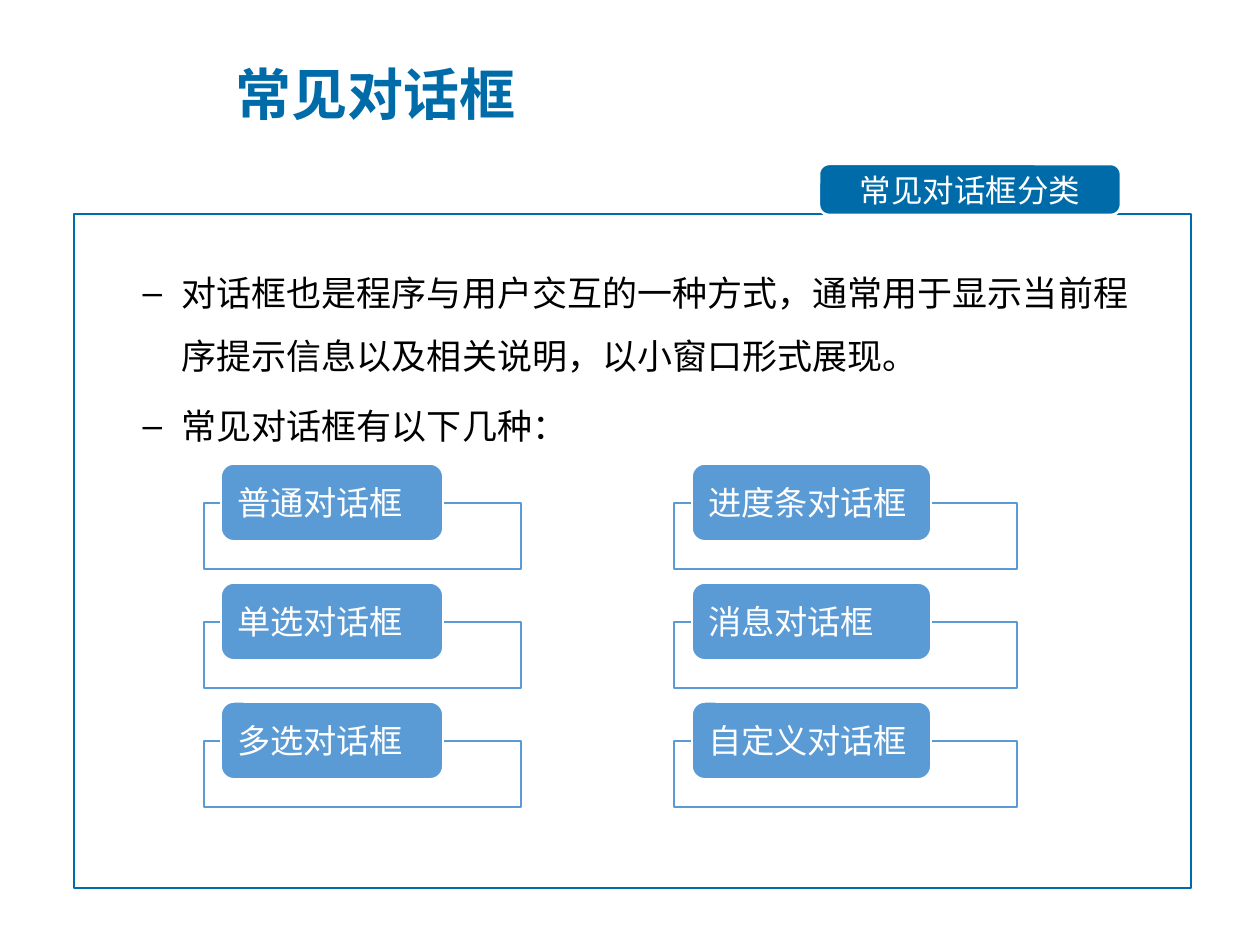
from lxml import etree
from pptx import Presentation
from pptx import util as u
from pptx.dml.color import RGBColor
from pptx.enum import shapes, text
from pptx.oxml.ns import qn

SCALE = 914400 / 126
BLUE, CARD, WHITE = "006BA9", "5B9BD5", "FFFFFF"
CJK = "Noto Sans CJK SC"


def px(n):
    return u.Emu(round(n * SCALE))


def paint(color_format, value):
    color_format.rgb = RGBColor.from_string(value)


prs = Presentation()
prs.slide_width, prs.slide_height = px(1260), px(945)
slide = prs.slides.add_slide(prs.slide_layouts[1])
title, body = slide.placeholders
written = []
boxes = []

frame = slide.shapes.add_shape(shapes.MSO_SHAPE.RECTANGLE, px(74), px(214), px(1117), px(674))
boxes.append((frame, None, BLUE, 1.5))

tab = slide.shapes.add_shape(shapes.MSO_SHAPE.ROUNDED_RECTANGLE, px(819), px(164), px(302), px(51))
tab.adjustments[0] = 0.2
boxes.append((tab, BLUE, WHITE, 1.5))
written.append((tab, ["常见对话框分类"], 18, CJK, WHITE, text.PP_ALIGN.CENTER))

columns = [
    (204, 317, 221, 222, ["普通对话框", "单选对话框", "多选对话框"]),
    (674, 343, 692, 239, ["进度条对话框", "消息对话框", "自定义对话框"]),
]
for outline_left, outline_width, label_left, label_width, kinds in columns:
    for row, kind in enumerate(kinds):
        top = 464 + 119 * row
        outline = slide.shapes.add_shape(
            shapes.MSO_SHAPE.RECTANGLE, px(outline_left), px(top + 39), px(outline_width), px(66))
        label = slide.shapes.add_shape(
            shapes.MSO_SHAPE.ROUNDED_RECTANGLE, px(label_left), px(top), px(label_width), px(77))
        boxes += [(outline, WHITE, CARD, 1), (label, CARD, WHITE, 1)]
        written.append((label, [kind], 19, "Arial", WHITE, text.PP_ALIGN.LEFT))

for box, fill, line, weight in boxes:
    box.shadow.inherit = False
    if fill:
        box.fill.solid()
        paint(box.fill.fore_color, fill)
    else:
        box.fill.background()
    paint(box.line.color, line)
    box.line.width = u.Pt(weight)

title.left, title.top, title.width, title.height = px(223), px(55), px(973), px(77)
body.left, body.top, body.width, body.height = px(67), px(244), px(1099), px(217)
written.append((title, ["常见对话框"], 32, CJK, BLUE, text.PP_ALIGN.LEFT))
written.append((body, [
    "对话框也是程序与用户交互的一种方式，通常用于显示当前程序提示信息以及相关说明，以小窗口形式展现。",
    "常见对话框有以下几种：",
], 20, "Calibri", "000000", text.PP_ALIGN.LEFT))

for holder, lines, size, face, color, align in written:
    words = holder.text_frame
    words.word_wrap = True
    words.auto_size = text.MSO_AUTO_SIZE.NONE
    words.vertical_anchor = text.MSO_ANCHOR.TOP if holder is body else text.MSO_ANCHOR.MIDDLE
    for index, line in enumerate(lines):
        paragraph = words.paragraphs[0] if index == 0 else words.add_paragraph()
        paragraph.alignment = align
        paragraph.space_before = u.Pt(4 * index)
        if holder is body:
            paragraph.level = 1
            paragraph.line_spacing = 1.5
            props = paragraph._p.get_or_add_pPr()
            props.set("marL", str(px(102)))
            props.set("indent", str(px(-39)))
            etree.SubElement(props, qn("a:buFont")).set("typeface", "Arial")
            etree.SubElement(props, qn("a:buChar")).set("char", "–")
        run = paragraph.add_run()
        run.text = line
        run.font.size = u.Pt(size)
        run.font.bold = holder is title
        run.font.name = face
        paint(run.font.color, color)
        latin = run.font._element.find(qn("a:latin"))
        east_asian = etree.Element(qn("a:ea"))
        east_asian.set("typeface", CJK)
        latin.addnext(east_asian)

prs.save("out.pptx")
